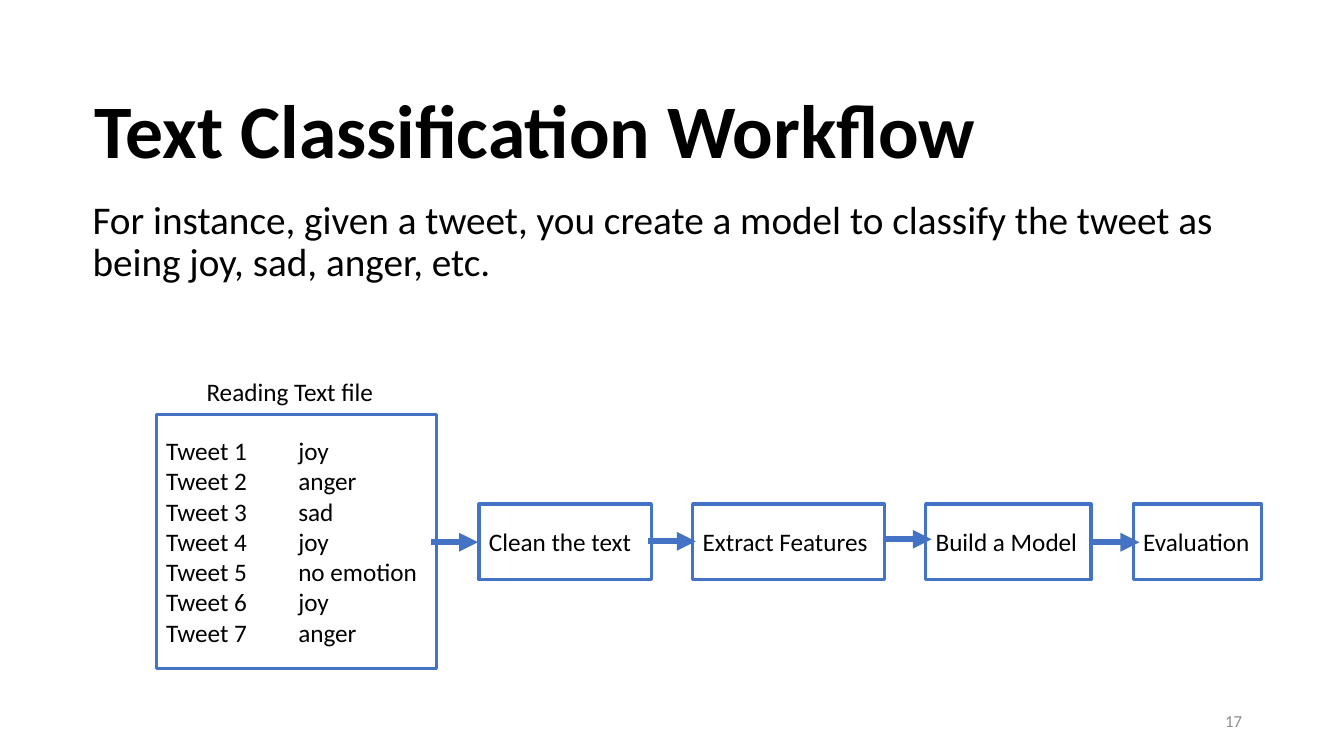
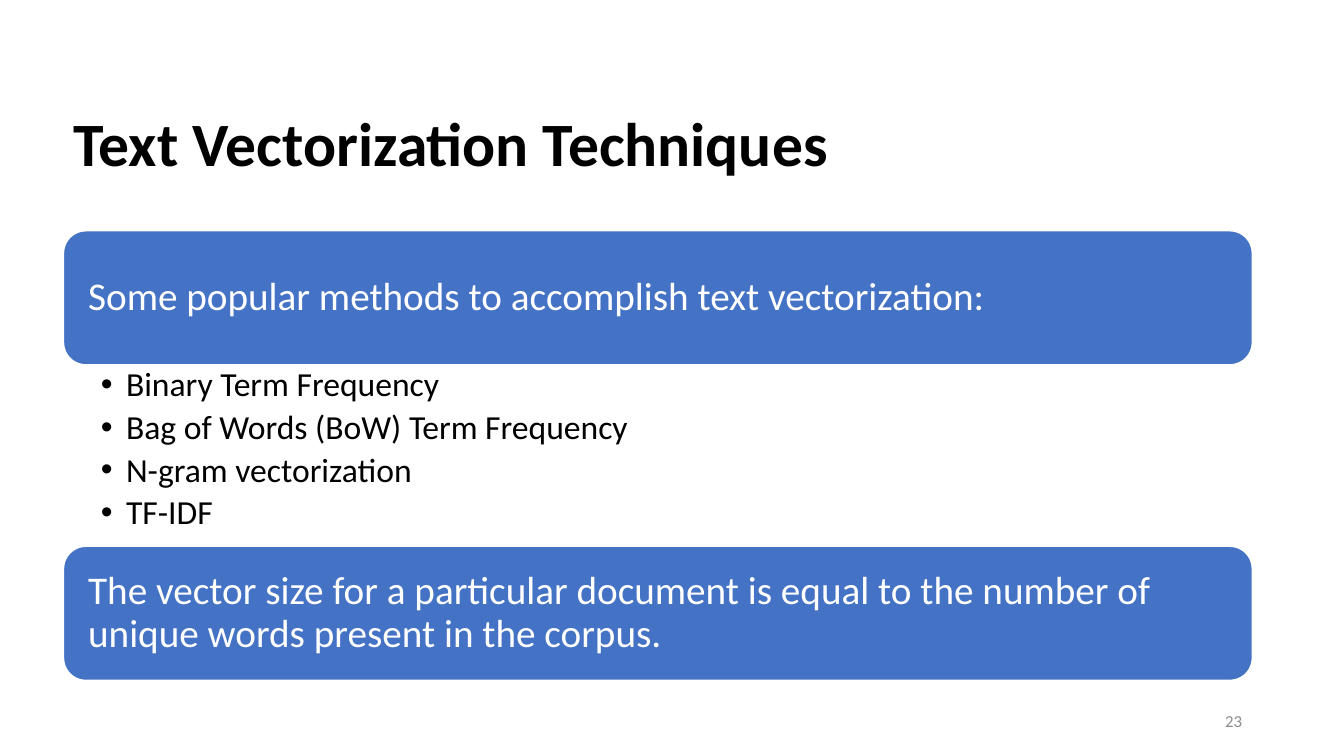
from dataclasses import dataclass

from lxml.etree import SubElement
from pptx import Presentation
from pptx.dml.color import RGBColor
from pptx.enum.shapes import MSO_CONNECTOR as Connector, MSO_SHAPE as Shape
from pptx.enum.text import MSO_ANCHOR as Anchor, MSO_AUTO_SIZE as AutoSize, PP_ALIGN as Align
from pptx.oxml.ns import qn
from pptx.util import Emu, Inches, Pt

FONT = "Calibri"
COLORS = {"text": "000000", "accent": "4472C4", "paper": "FFFFFF", "number": "8C8C8C"}
TIGHT = 0.9  # line spacing of titles and prose


@dataclass
class Box:
    left: int
    top: int
    width: int
    height: int

    def share(self, left, top, width, height):
        """Return a box inside this one, given in percent of its sides."""
        return Box(Emu(int(self.left + self.width * left / 100)),
                   Emu(int(self.top + self.height * top / 100)),
                   Emu(int(self.width * width / 100)),
                   Emu(int(self.height * height / 100)))

    def frame(self):
        return self.left, self.top, self.width, self.height


PAGE = Box(0, 0, Inches(13.33), Inches(7.5))


def color(name):
    return RGBColor.from_string(COLORS[name])


# Text and shapes
def write(shape, lines, size, ink="text", bold=False, align=Align.LEFT, anchor=Anchor.TOP,
          spacing=1.0, after=0, insets=(0.1, 0.05, 0.1, 0.05), tab=None, bullet=None):
    frame = shape.text_frame
    frame.word_wrap = True
    frame.auto_size = AutoSize.NONE
    frame.vertical_anchor = anchor
    (frame.margin_left, frame.margin_top,
     frame.margin_right, frame.margin_bottom) = map(Inches, insets)
    for index, line in enumerate(lines):
        para = frame.paragraphs[0] if index == 0 else frame.add_paragraph()
        para.alignment = align
        para.line_spacing = spacing
        para.space_before = Pt(0)
        para.space_after = Pt(after)
        props = para._p.get_or_add_pPr()
        if bullet:
            hang = Inches(0.25)
            props.set("marL", str(hang))
            props.set("indent", str(-hang))
            SubElement(props, qn("a:buFont"), typeface="Arial")
            SubElement(props, qn("a:buChar"), char=bullet)
        if tab:
            stops = SubElement(props, qn("a:tabLst"))
            SubElement(stops, qn("a:tab"), pos=str(Inches(tab)), algn="l")
        span = para.add_run()
        span.text = line
        span.font.name = FONT
        span.font.size = Pt(size)
        span.font.bold = bold
        span.font.color.rgb = color(ink)


def add_text(page, box, lines, size, **style):
    write(page.shapes.add_textbox(*box.frame()), lines, size, **style)


def add_panel(page, box, lines, size, kind=Shape.RECTANGLE, fill="paper", line="accent",
              weight=2.25, **style):
    panel = page.shapes.add_shape(kind, *box.frame())
    panel.shadow.inherit = False
    panel.fill.solid()
    panel.fill.fore_color.rgb = color(fill)
    panel.line.color.rgb = color(line)
    panel.line.width = Pt(weight)
    write(panel, lines, size, anchor=Anchor.MIDDLE, **style)


def add_arrow(page, box):
    arrow = page.shapes.add_connector(Connector.STRAIGHT, box.left, box.top,
                                      box.left + box.width, box.top)
    arrow.line.color.rgb = color("accent")
    arrow.line.width = Pt(4.5)
    props = arrow._element.spPr
    SubElement(props.find(qn("a:ln")), qn("a:tailEnd"), type="triangle")
    SubElement(props, qn("a:effectLst"))


# Shared title and page number
def add_page(deck, title, title_box, title_size, number):
    page = deck.slides.add_slide(deck.slide_layouts[5])
    holder = page.shapes.title
    holder.left, holder.top, holder.width, holder.height = title_box.frame()
    write(holder, [title], title_size, bold=True, anchor=Anchor.BOTTOM, spacing=TIGHT)
    add_text(page, PAGE.share(70.67, 92.67, 22.5, 5.33), [number], 12, ink="number",
             align=Align.RIGHT, anchor=Anchor.MIDDLE)
    return page


# Workflow: labelled file, four stages, an arrow into each stage
def draw_workflow(page, box):
    feelings = ["joy", "anger", "sad", "joy", "no emotion", "joy", "anger"]
    tweets = [f"Tweet {count}\t{feeling}" for count, feeling in enumerate(feelings, 1)]
    stages = [  # label, left, width, arrow left, arrow height
        ("Clean the text", 29.2, 15.6, 24.82, 57.6),
        ("Extract Features", 48.54, 17.34, 44.53, 57.3),
        ("Build a Model", 69.62, 14.96, 65.88, 56.6),
        ("Evaluation", 88.41, 11.59, 84.67, 57.6),
    ]
    add_panel(page, box.share(0, 14.58, 25.36, 85.42), tweets, 18, tab=1.31)
    add_text(page, box.share(3.65, 0, 21.26, 13.56), ["Reading Text file"], 18)
    for label, left, width, _, _ in stages:
        add_panel(page, box.share(left, 44.75, width, 25.42), [label], 18)
    for _, _, _, left, height in stages:
        add_arrow(page, box.share(left, height, 4.29, 0))


# Methods: two rounded panels with a bullet list between them
def draw_methods(page, box):
    panel_height = 29.82
    panels = [
        (0, "Some popular methods to accomplish text vectorization:"),
        (100 - panel_height, "The vector size for a particular document is equal to the "
                             "number of unique words present in the corpus."),
    ]
    methods = ["Binary Term Frequency", "Bag of Words (BoW) Term Frequency",
               "N-gram vectorization", "TF-IDF"]
    for top, sentence in panels:
        add_panel(page, box.share(0, top, 100, panel_height), [sentence], 28,
                  kind=Shape.ROUNDED_RECTANGLE, fill="accent", line="paper", weight=1,
                  ink="paper", spacing=TIGHT, insets=(0.18, 0.18, 0.18, 0.18))
    add_text(page, box.share(0, panel_height, 100, 100 - 2 * panel_height), methods, 24,
             spacing=TIGHT, after=4.5, insets=(0.37, 0.03, 0.19, 0.03), bullet="•")


def workflow_slide(deck):
    page = add_page(deck, "Text Classification Workflow",
                    PAGE.share(6.3, 2.93, 90.4, 20.93), 54, "17")
    add_text(page, PAGE.share(6.15, 25.87, 88.75, 16),
             ["For instance, given a tweet, you create a model to classify the tweet as "
              "being joy, sad, anger, etc."], 28, spacing=TIGHT)
    draw_workflow(page, PAGE.share(11.63, 49.07, 82.22, 39.33))


def methods_slide(deck):
    page = add_page(deck, "Text Vectorization Techniques",
                    PAGE.share(4.73, 3.47, 90.4, 20.93), 44, "23")
    draw_methods(page, PAGE.share(4.73, 30.53, 88.45, 59.47))


def main():
    deck = Presentation()
    deck.slide_width, deck.slide_height = PAGE.width, PAGE.height
    workflow_slide(deck)
    methods_slide(deck)
    deck.save("out.pptx")


if __name__ == "__main__":
    main()
